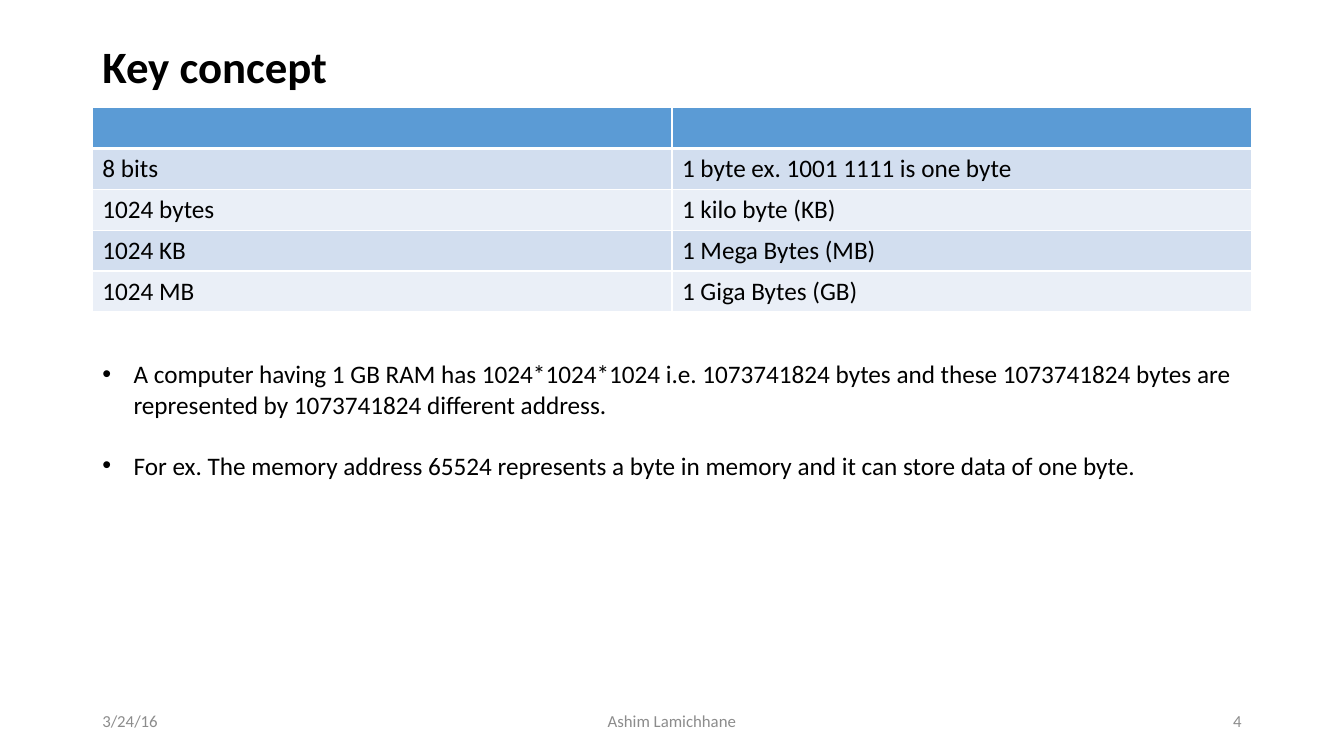
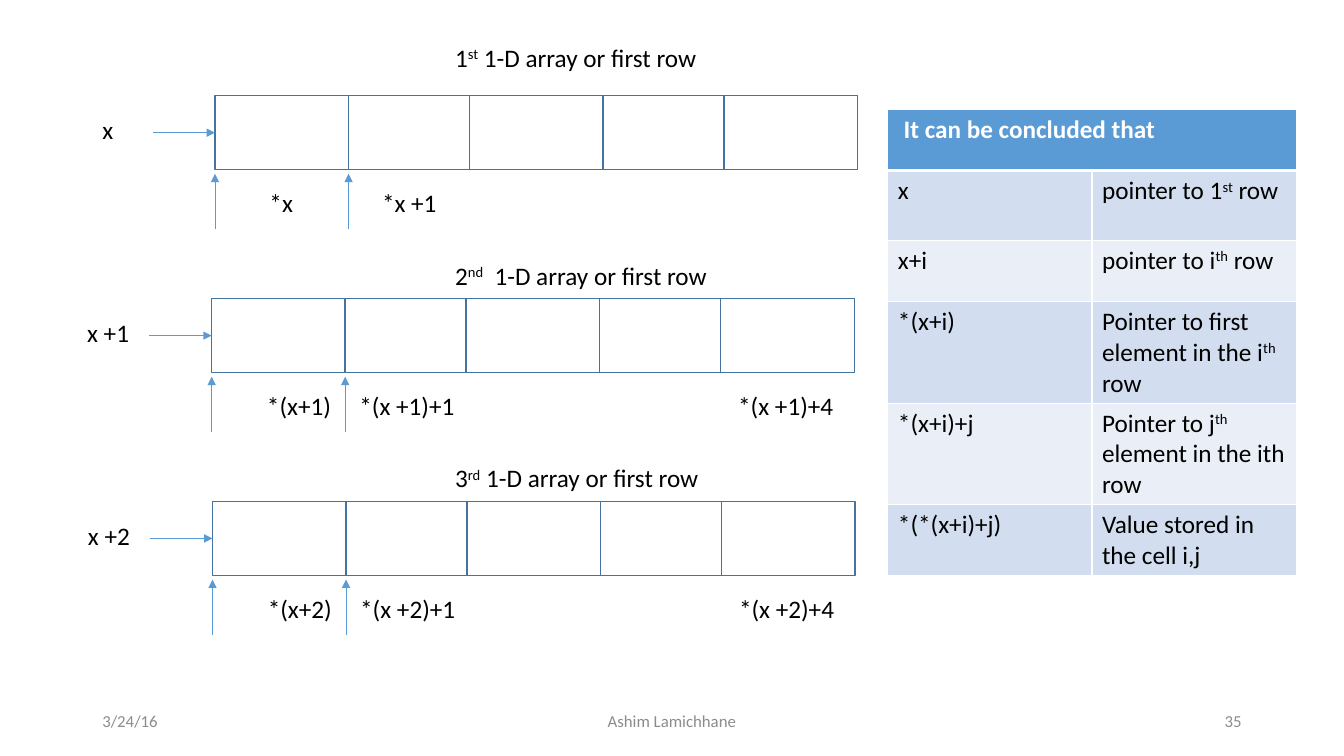
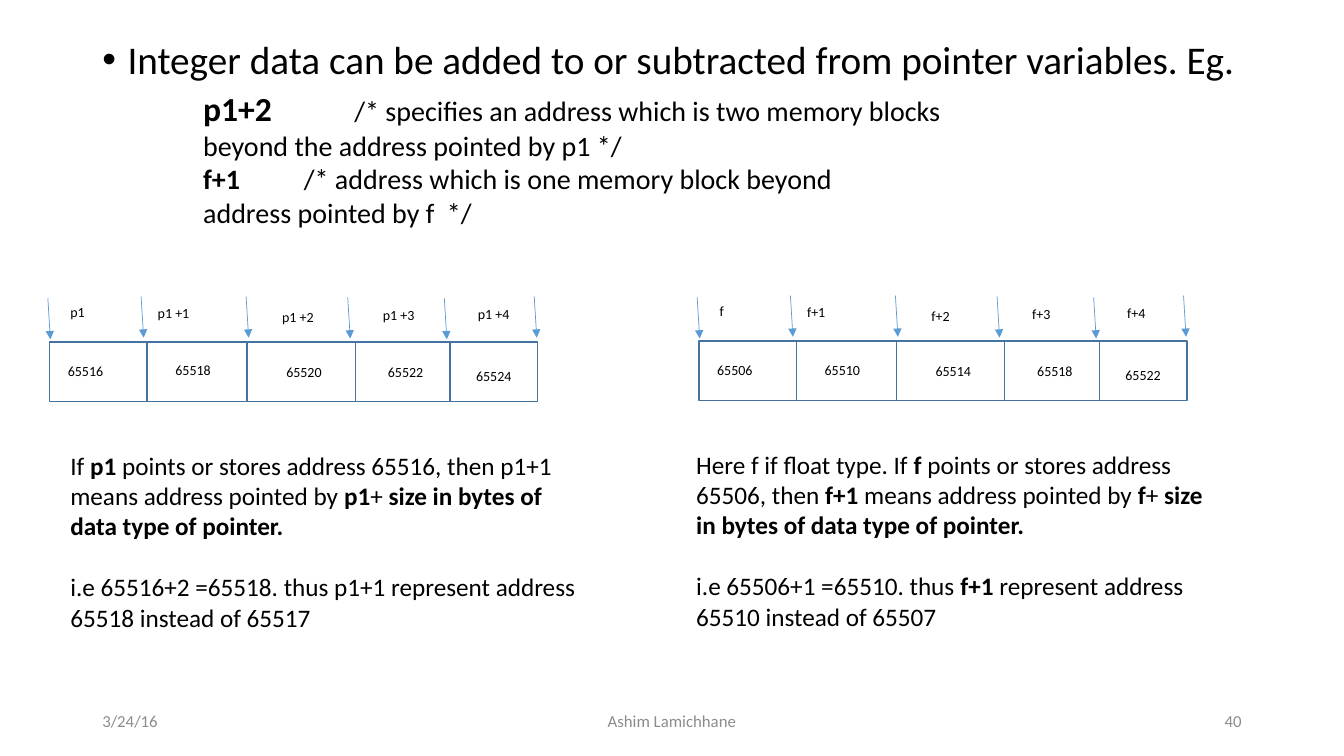
from itertools import accumulate

from lxml import etree
from pptx import Presentation
from pptx.dml.color import RGBColor
from pptx.enum import shapes, text
from pptx.oxml.ns import qn
from pptx.util import Inches, Pt

# Shared style
FONT = "Calibri"
BLACK = RGBColor(0x00, 0x00, 0x00)
WHITE = RGBColor(0xFF, 0xFF, 0xFF)
GREY = RGBColor(0x8C, 0x8C, 0x8C)
BLUE = RGBColor(0x5B, 0x9B, 0xD5)
EDGE = RGBColor(0x43, 0x73, 0x9E)
BANDS = (RGBColor(0xEA, 0xEF, 0xF7), RGBColor(0xD2, 0xDE, 0xEF))
LEFT, CENTER, RIGHT = text.PP_ALIGN.LEFT, text.PP_ALIGN.CENTER, text.PP_ALIGN.RIGHT
TOP, MIDDLE = text.MSO_ANCHOR.TOP, text.MSO_ANCHOR.MIDDLE

# The slide is a grid of 160 columns by 90 rows
COLS, ROWS = 160, 90
WIDE, HIGH = Inches(13.333), Inches(7.5)
MARGIN, BODY = 11, 138


def col(n):
    return round(WIDE * n / COLS)


def row(n):
    return round(HIGH * n / ROWS)


# Text: |bold|, ^superscript^, and a line feed for a line break
def write(para, line, size=18, color=BLACK, bold=False, align=LEFT):
    for i, part in enumerate(line.split("|")):
        for j, piece in enumerate(part.split("^")):
            for k, words in enumerate(piece.split("\n")):
                if k:
                    para.add_line_break()
                if words:
                    run = para.add_run()
                    run.text = words
                    if i % 2:
                        run.font.bold = True
                    if j % 2:
                        run._r.get_or_add_rPr().set("baseline", "30000")
    para.alignment = align
    font = para.font
    font.name, font.size, font.bold = FONT, Pt(size), bold
    font.color.rgb = color


def bullet(para, indent):
    props = para._p.get_or_add_pPr()
    props.set("marL", str(Inches(indent)))
    props.set("indent", str(-Inches(indent)))
    etree.SubElement(props, qn("a:buFont")).set("typeface", "Arial")
    etree.SubElement(props, qn("a:buChar")).set("char", "•")


def label(slide, x, y, w, h, *lines, gap=0, dot=0, anchor=TOP, **style):
    frame = slide.shapes.add_textbox(col(x), row(y), col(w), row(h)).text_frame
    frame.word_wrap = True
    frame.vertical_anchor = anchor
    for i, line in enumerate(lines):
        para = frame.add_paragraph() if i else frame.paragraphs[0]
        if dot:
            bullet(para, dot)
        if i:
            para.space_before = Pt(gap)
        write(para, line, **style)
    return frame


def page(deck, number):
    slide = deck.slides.add_slide(deck.slide_layouts[6])
    for x, w, words, align in ((MARGIN, 36, "3/24/16", LEFT),
                               (53, 54, "Ashim Lamichhane", CENTER),
                               (113, 36, str(number), RIGHT)):
        label(slide, x, 83.4, w, 4.8, words, anchor=MIDDLE,
              size=12, color=GREY, align=align)
    return slide


# Tables
def border(cell, side, width):
    line = etree.SubElement(cell._tc.get_or_add_tcPr(), qn("a:ln" + side))
    line.set("w", str(Pt(width)))
    fill = etree.SubElement(line, qn("a:solidFill"))
    etree.SubElement(fill, qn("a:srgbClr")).set("val", str(WHITE))


def grid(slide, x, y, width, heights, data):
    table = slide.shapes.add_table(len(data), 2, col(x), row(y), col(2 * width),
                                   row(sum(heights))).table
    for column in table.columns:
        column.width = col(width)
    for r, (high, words) in enumerate(zip(heights, data)):
        table.rows[r].height = row(high)
        for c in range(2):
            cell = table.cell(r, c)
            for side in "LRTB":
                thick = (r, side) in ((0, "B"), (1, "T"))
                border(cell, side, 3 if thick else 1)
            cell.fill.solid()
            cell.fill.fore_color.rgb = BANDS[r % 2] if r else BLUE
            if c < len(words):
                write(cell.text_frame.paragraphs[0], words[c],
                      color=BLACK if r else WHITE, bold=not r)
        if len(words) == 1:
            table.cell(r, 0).merge(table.cell(r, 1))


# Memory strips and pointers
def strip(slide, x, y, widths, high):
    cells = []
    for start, w in zip(accumulate(widths, initial=x), widths):
        cell = slide.shapes.add_shape(shapes.MSO_SHAPE.RECTANGLE, col(start),
                                      row(y), col(w), row(high))
        cell.shadow.inherit = False
        cell.fill.background()
        cell.line.color.rgb, cell.line.width = EDGE, Pt(1)
        cells.append(cell)
    return cells


def arrow(slide, x1, y1, x2, y2):
    link = slide.shapes.add_connector(shapes.MSO_CONNECTOR.STRAIGHT,
                                      col(x1), row(y1), col(x2), row(y2))
    link.line.color.rgb, link.line.width = BLUE, Pt(0.5)
    etree.SubElement(link.line._get_or_add_ln(), qn("a:tailEnd")).set("type", "triangle")
    etree.SubElement(link._element.spPr, qn("a:effectLst"))
    return link


def array(slide, x, y, name, shift, caption, lift, notes):
    high = 8.8
    cells = strip(slide, x, y, (15.9, 14.4, 15.9, 14.4, 15.9), high)
    label(slide, x - shift, y + 1.6, 8.6, 4.8, name)
    link = arrow(slide, x - 7.4, y + high / 2, x, y + high / 2)
    link.end_connect(cells[0], 1)
    for edge in (x, x + 15.9):
        arrow(slide, edge, y + 15.9, edge, y + 9.3)
    label(slide, 53, y - lift, 36, 4.8, caption)
    for dx, words in notes:
        label(slide, x + dx, y + 10.3, 14, 4.8, words)


def memory(slide, x, y, names, values):
    strip(slide, x, y, (11.6, 11.9, 12.9, 11.3, 10.4), 7.1)
    for dx, dy in ((-0.2, -5.2), (10.9, -5.4), (23.4, -5.4),
                   (35.5, -5.3), (47, -5.2), (57.7, -5.4)):
        arrow(slide, x + dx, y + dy, x + dx + 0.3, y + dy + 4.9)
    over = ((1.3, -5.2), (11.7, -5), (26.5, -4.6), (38.5, -4.8), (49.8, -4.9))
    inside = ((1, 1.9), (13.8, 1.8), (27, 2), (39.1, 2), (49.6, 2.4))
    for (dx, dy), words in zip(over + inside, names + values):
        label(slide, x + dx, y + dy, 10.6, 3.2, words, size=10)


# Slides
def units(deck):
    slide = page(deck, 4)
    label(slide, MARGIN, 3.1, BODY, 9.4, "Key concept", anchor=MIDDLE,
          size=32, bold=True)
    grid(slide, MARGIN, 12.8, BODY / 2, [4.87] * 5, (
        ("", ""),
        ("8 bits", "1 byte ex. 1001 1111 is one byte"),
        ("1024 bytes", "1 kilo byte (KB)"),
        ("1024 KB", "1 Mega Bytes (MB)"),
        ("1024 MB", "1 Giga Bytes (GB)")))
    label(slide, MARGIN, 42.1, BODY, 15.7,
          "A computer having 1 GB RAM has 1024*1024*1024 i.e. 1073741824 bytes "
          "and these 1073741824 bytes are represented by 1073741824 different address.",
          "For ex. The memory address 65524 represents a byte in memory and it "
          "can store data of one byte.", gap=22, dot=0.31)


def arrays(deck):
    slide = page(deck, 35)
    rows = (
        (25.6, "x", 14.6, "1^st^ 1-D array or first row", 7,
         ((5.3, "*x"), (18.7, "*x +1"))),
        (25.2, "x +1", 16, "2^nd^  1-D array or first row", 5.2,
         ((5.4, "*(x+1)"), (16.4, "*(x +1)+1"), (61.5, "*(x +1)+4"))),
        (25.3, "x +2", 16, "3^rd^ 1-D array or first row", 5.2,
         ((5.4, "*(x+2)"), (16.4, "*(x +2)+1"), (61.5, "*(x +2)+4"))))
    for i, (x, *rest) in enumerate(rows):
        array(slide, x, 11.4 + 24.15 * i, *rest)
    grid(slide, 105.7, 13, 24.3, (7.3, 8.3, 7.3, 12.1, 12.1, 8.4), (
        (" It can be concluded that",),
        ("x", "pointer to 1^st^ row"),
        ("x+i", "pointer to i^th^ row"),
        ("*(x+i)", "Pointer to first element in the i^th ^row"),
        ("*(x+i)+j", "Pointer to j^th ^element in the ith row"),
        ("*(*(x+i)+j)", "Value stored in the cell i,j")))


def sums(deck):
    slide = page(deck, 40)
    frame = label(slide, MARGIN, 3.6, BODY, 34.8,
                  "Integer data can be added to or subtracted from pointer variables. Eg.",
                  size=28, dot=0.25)
    for line, gap in (
            ("|p1+2|\t\t/* specifies an address which is two memory blocks\n"
             "beyond the address pointed by p1 */", 4),
            ("|f+1|\t\t/* address which is one memory block beyond\n"
             "address pointed by f  */", 0)):
        para = frame.add_paragraph()
        para._p.get_or_add_pPr().set("marL", str(Inches(1)))
        para.space_before = Pt(gap)
        write(para, line, size=20)
    frame.paragraphs[1].runs[0].font.size = Pt(24)

    memory(slide, 5.9, 40.7, ("p1", "p1 +1", "p1 +2", "p1 +3", "p1 +4"),
           ("65516", "65518", "65520", "65522", "65524"))
    memory(slide, 83.2, 40.6, ("f", "f+1", "f+2", "f+3", "f+4"),
           ("65506", "65510", "65514", "65518", "65522"))
    notes = (
        (7.2, 53,
         "If |p1| points or stores address 65516, then p1+1 means address pointed "
         "by |p1|+ |size in bytes of data type of pointer.|",
         "i.e 65516+2 =65518. thus p1+1 represent address 65518 instead of 65517"),
        (81.7, 52.9,
         "Here f if float type. If |f |points or stores address 65506, then |f+1| "
         "means address pointed by |f|+ |size in bytes of data type of pointer.|",
         "i.e 65506+1 =65510. thus |f+1| represent address 65510 instead of 65507"))
    for x, y, *lines in notes:
        label(slide, x, y, 64.3, 23, *lines, gap=22)


def main():
    deck = Presentation()
    deck.slide_width, deck.slide_height = WIDE, HIGH
    units(deck)
    arrays(deck)
    sums(deck)
    deck.save("out.pptx")


if __name__ == "__main__":
    main()
